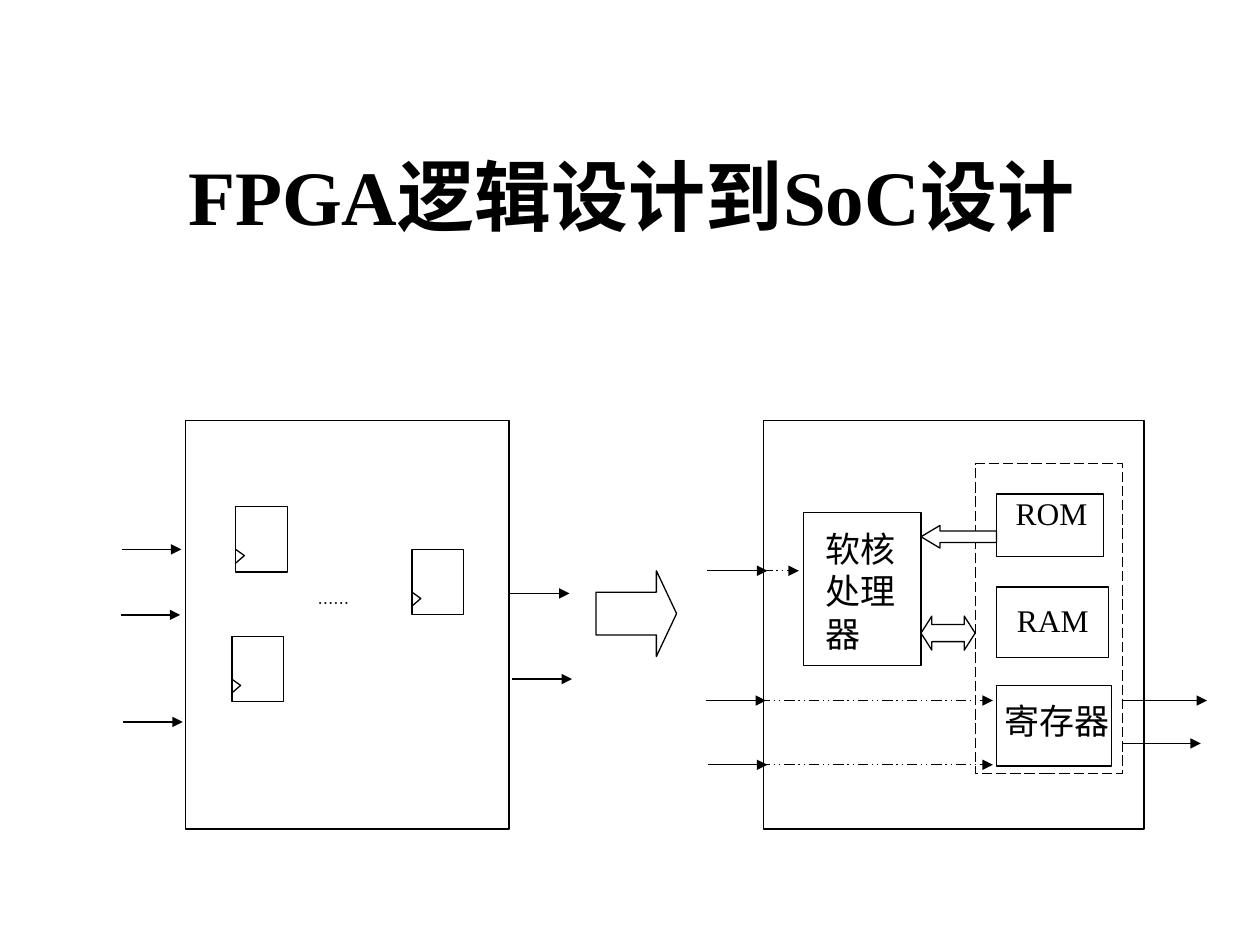
from dataclasses import dataclass
from typing import Optional

from lxml import etree
from pptx import Presentation
from pptx.dml.color import RGBColor
from pptx.enum.dml import MSO_LINE
from pptx.enum.shapes import MSO_CONNECTOR, MSO_SHAPE
from pptx.enum.text import MSO_ANCHOR, MSO_AUTO_SIZE, PP_ALIGN
from pptx.oxml.ns import qn
from pptx.util import Inches, Pt

BLACK = RGBColor(0x00, 0x00, 0x00)
WHITE = RGBColor(0xFF, 0xFF, 0xFF)
LATIN_FONT = "Times New Roman"
CJK_FONT = "Noto Sans CJK SC"
LINE_WIDTH = Pt(0.75)
RECTANGLE = MSO_SHAPE.RECTANGLE
RIGHT_ARROW = MSO_SHAPE.RIGHT_ARROW
LEFT_ARROW = MSO_SHAPE.LEFT_ARROW
TWO_WAY_ARROW = MSO_SHAPE.LEFT_RIGHT_ARROW
LONG_DASH = MSO_LINE.LONG_DASH
DASH_DOT_DOT = MSO_LINE.DASH_DOT_DOT
STRAIGHT = MSO_CONNECTOR.STRAIGHT
LEFT, CENTER = PP_ALIGN.LEFT, PP_ALIGN.CENTER
TOP, MIDDLE = MSO_ANCHOR.TOP, MSO_ANCHOR.MIDDLE
NO_AUTO_SIZE = MSO_AUTO_SIZE.NONE


@dataclass(frozen=True)
class Block:
    left: float
    top: float
    width: float
    height: float
    kind: int = RECTANGLE
    dash: Optional[int] = None
    adjustments: tuple = ()


@dataclass(frozen=True)
class Label:
    text: str
    left: float
    top: float
    width: float
    height: float
    size: float
    font: str = LATIN_FONT


@dataclass(frozen=True)
class Signal:
    start: float
    end: float
    y: float
    dash: Optional[int] = None


FLIP_FLOP_SIZE = (0.41, 0.52)
FLIP_FLOPS = [(1.84, 5.05), (1.87, 4.02), (3.27, 4.36)]

LOGIC_CHIP = Block(1.47, 3.34, 2.57, 3.24)
LOGIC_SIGNALS = [
    Signal(0.97, 1.44, 4.36), Signal(0.96, 1.43, 4.88), Signal(0.98, 1.45, 5.73),
    Signal(4.04, 4.52, 4.71), Signal(4.06, 4.54, 5.39),
]
DOTS = Label("……", 2.52, 4.71, 0.49, 0.39, 9, CJK_FONT)
STEP_ARROW = Block(4.73, 4.53, 0.64, 0.68, RIGHT_ARROW, adjustments=(0.5, 0.25))

SOC_CHIP = Block(6.06, 3.34, 3.02, 3.24)
SOC_SIGNALS = [
    Signal(5.61, 6.09, 4.53), Signal(5.6, 6.08, 5.56), Signal(5.62, 6.09, 6.07),
    Signal(8.83, 9.58, 5.56), Signal(8.89, 9.53, 5.9),
]
SOC_BLOCKS = [
    Block(6.38, 4.07, 0.93, 1.21),
    Block(7.74, 3.68, 1.17, 2.46, dash=LONG_DASH),
    Block(7.31, 4.89, 0.43, 0.27, TWO_WAY_ARROW, adjustments=(0.5, 0.32)),
    Block(7.91, 3.92, 0.85, 0.5),
    Block(7.91, 4.66, 0.89, 0.56),
    Block(7.91, 5.44, 0.91, 0.64),
    Block(7.31, 4.17, 0.6, 0.18, LEFT_ARROW, adjustments=(0.5, 0.84)),
]
SOC_LABELS = [
    Label("软核处理器", 6.55, 4.19, 0.65, 0.85, 20),
    Label("ROM", 8.06, 3.92, 0.65, 0.44, 18),
    Label("RAM", 8.07, 4.77, 0.68, 0.32, 18),
    Label("寄存器", 7.97, 5.55, 0.86, 0.33, 20),
]
INNER_SIGNALS = [
    Signal(6.03, 7.88, 5.56, DASH_DOT_DOT),
    Signal(6.03, 7.88, 6.07, DASH_DOT_DOT),
    Signal(6.05, 6.34, 4.53, DASH_DOT_DOT),
]


def write_text(frame, text: str, *, size: float, font: str = LATIN_FONT,
               bold: bool = False, align: int = LEFT, anchor: int = TOP) -> None:
    frame.word_wrap = True
    frame.auto_size = NO_AUTO_SIZE
    frame.vertical_anchor = anchor
    para = frame.paragraphs[0]
    para.alignment = align
    span = para.add_run()
    span.text = text
    span.font.name = font
    span.font.size = Pt(size)
    span.font.bold = bold
    span.font.color.rgb = BLACK
    # Chinese characters take their own typeface
    etree.SubElement(span._r.get_or_add_rPr(), qn("a:ea"), typeface=CJK_FONT)


def set_line(line, dash: Optional[int] = None) -> None:
    line.color.rgb = BLACK
    line.width = LINE_WIDTH
    if dash is not None:
        line.dash_style = dash


def draw_block(page, block: Block) -> None:
    shape = page.shapes.add_shape(block.kind, Inches(block.left), Inches(block.top),
                                  Inches(block.width), Inches(block.height))
    shape.shadow.inherit = False
    shape.fill.solid()
    shape.fill.fore_color.rgb = WHITE
    set_line(shape.line, block.dash)
    for index, value in enumerate(block.adjustments):
        shape.adjustments[index] = value


def draw_label(page, label: Label) -> None:
    box = page.shapes.add_textbox(Inches(label.left), Inches(label.top),
                                  Inches(label.width), Inches(label.height))
    frame = box.text_frame
    frame.margin_left = frame.margin_right = 0
    frame.margin_top = frame.margin_bottom = 0
    write_text(frame, label.text, size=label.size, font=label.font)


def draw_signal(page, signal: Signal) -> None:
    y = Inches(signal.y)
    connector = page.shapes.add_connector(STRAIGHT, Inches(signal.start), y,
                                          Inches(signal.end), y)
    set_line(connector.line, signal.dash)
    etree.SubElement(connector.get_or_add_ln(), qn("a:tailEnd"), type="triangle")
    etree.SubElement(connector._element.spPr, qn("a:effectLst"))


def draw_flip_flop(page, left: float, top: float) -> None:
    draw_block(page, Block(left, top, *FLIP_FLOP_SIZE))
    # Clock input notch on the left side
    builder = page.shapes.build_freeform(Inches(left), Inches(top + 0.34))
    builder.add_line_segments([(Inches(left + 0.07), Inches(top + 0.39)),
                               (Inches(left), Inches(top + 0.45))], close=False)
    notch = builder.convert_to_shape()
    notch.shadow.inherit = False
    notch.fill.background()
    set_line(notch.line)


def main() -> None:
    deck = Presentation()
    deck.slide_width, deck.slide_height = Inches(10), Inches(7.5)
    page = deck.slides.add_slide(deck.slide_layouts[5])

    # Title
    title = page.shapes.title
    title.left, title.top = Inches(0.51), Inches(0.92)
    title.width, title.height = Inches(9), Inches(1.25)
    write_text(title.text_frame, "FPGA逻辑设计到SoC设计", size=44, bold=True,
               align=CENTER, anchor=MIDDLE)

    # Logic design
    draw_block(page, LOGIC_CHIP)
    for signal in LOGIC_SIGNALS:
        draw_signal(page, signal)
    for left, top in FLIP_FLOPS:
        draw_flip_flop(page, left, top)
    draw_label(page, DOTS)
    draw_block(page, STEP_ARROW)

    # SoC design: the blocks cover the signals that start behind them
    draw_block(page, SOC_CHIP)
    for signal in SOC_SIGNALS:
        draw_signal(page, signal)
    for block in SOC_BLOCKS:
        draw_block(page, block)
    for label in SOC_LABELS:
        draw_label(page, label)
    for signal in INNER_SIGNALS:
        draw_signal(page, signal)

    deck.save("out.pptx")


if __name__ == "__main__":
    main()
